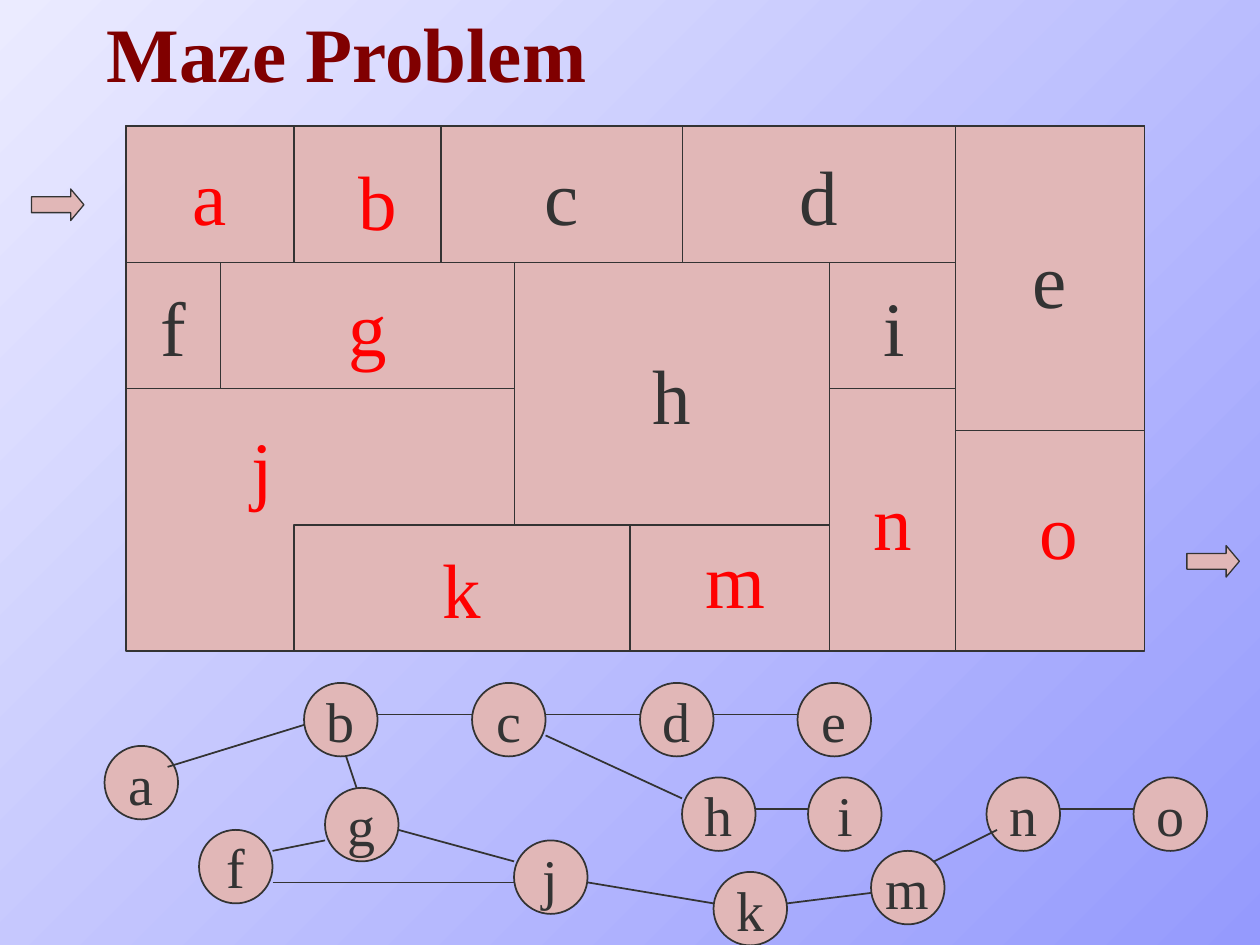
from lxml import etree
from pptx import Presentation
from pptx.dml.color import RGBColor
from pptx.enum.shapes import MSO_CONNECTOR, MSO_SHAPE
from pptx.enum.text import MSO_ANCHOR, MSO_AUTO_SIZE, PP_ALIGN
from pptx.oxml.ns import qn
from pptx.util import Inches, Pt

RECTANGLE, OVAL, ARROW = MSO_SHAPE.RECTANGLE, MSO_SHAPE.OVAL, MSO_SHAPE.RIGHT_ARROW
STRAIGHT = MSO_CONNECTOR.STRAIGHT
MIDDLE, BOTTOM = MSO_ANCHOR.MIDDLE, MSO_ANCHOR.BOTTOM
CENTER = PP_ALIGN.CENTER
FIT_SHAPE = MSO_AUTO_SIZE.SHAPE_TO_FIT_TEXT

PINK = RGBColor(0xE1, 0xB7, 0xB7)
INK = RGBColor(0x33, 0x33, 0x33)
RED = RGBColor(0xFF, 0x00, 0x00)
MAROON = RGBColor(0x80, 0x00, 0x00)
PALE_BLUE = RGBColor(0xEB, 0xEB, 0xFF)
BLUE = RGBColor(0x95, 0x9A, 0xFD)

STEP = Inches(1) / 12  # the maze and the graph share a grid of 12 steps per inch
NODE_SIZE = 7
MAZE_SIZE = (97, 50)
ROUTE = "abgjkmno"  # rooms on the way out

# Room: left, top, width, height in steps
ROOMS = {
    "a": (0, 0, 16, 13), "f": (0, 13, 9, 12), "g": (9, 13, 28, 12),
    "c": (30, 0, 23, 13), "h": (37, 13, 30, 25), "d": (53, 0, 26, 13),
    "e": (79, 0, 18, 29), "n": (67, 25, 12, 25), "k": (16, 38, 32, 12),
}
# Rooms left open between the others carry only a label
OPEN_ROOMS = {
    "b": (21, 2, 6.1, 10), "i": (71, 14, 4.4, 10), "j": (10.8, 27.4, 4.4, 10),
    "m": (54, 38, 8.2, 10), "o": (85.8, 33.4, 6.1, 10),
}
NODES = {
    "a": (0, 6), "b": (19, 0), "c": (35, 0), "d": (51, 0), "e": (66, 0),
    "f": (9, 14), "g": (21, 10), "j": (39, 15), "h": (55, 9), "k": (58, 18),
    "m": (73, 16), "n": (84, 9), "o": (98, 9), "i": (67, 9),
}
# Link: from x, from y, to x, to y in steps
LINKS = [
    (6, 8, 19, 4), (26, 3, 35, 3), (42, 3, 51, 3), (58, 3, 66, 3),
    (23, 7, 24, 10), (16, 16, 21, 15), (28, 14, 39, 17), (16, 19, 39, 19),
    (42, 5, 55, 11), (46, 19, 58, 21), (65, 21, 73, 20), (79, 17, 85, 14),
    (91, 12, 98, 12), (62, 12, 67, 12),
]


def steps(*counts):
    return [round(count * STEP) for count in counts]


def place(left, top, x, y, width, height):
    """Turn a box in steps into slide lengths, measured from left and top."""
    x, y, width, height = steps(x, y, width, height)
    return left + x, top + y, width, height


def write(shape, text, size, color, bold=False, align=None, **frame_format):
    frame = shape.text_frame
    frame.word_wrap = False
    for name, value in frame_format.items():
        setattr(frame, name, value)
    para = frame.paragraphs[0]
    para.alignment = align
    span = para.add_run()
    span.text = text
    font = {"name": "Times New Roman", "size": Pt(size), "bold": bold}
    for name, value in font.items():
        setattr(span.font, name, value)
    span.font.color.rgb = color


def add_pink_shape(shapes, kind, box, line_width=0.75):
    shape = shapes.add_shape(kind, *box)
    shape.shadow.inherit = False
    shape.fill.solid()
    shape.fill.fore_color.rgb = PINK
    shape.line.color.rgb = INK
    shape.line.width = Pt(line_width)
    return shape


def add_background(page):
    fill = page.background.fill
    fill.gradient()
    fill.gradient_angle = 315
    for stop, color in zip(fill.gradient_stops, (PALE_BLUE, BLUE)):
        stop.color.rgb = color


def add_title(page, left, top, width, height):
    title = page.shapes.add_textbox(left, top, width, height)
    write(title, "Maze Problem", 44, MAROON, bold=True,
          vertical_anchor=BOTTOM, word_wrap=True)


def add_maze(page, left, top):
    add_pink_shape(page.shapes, RECTANGLE, place(left, top, 0, 0, *MAZE_SIZE))
    for name, box in ROOMS.items():
        room = add_pink_shape(page.shapes, RECTANGLE, place(left, top, *box))
        write(room, name, 44, RED if name in ROUTE else INK,
              align=CENTER, vertical_anchor=MIDDLE)
    for name, box in OPEN_ROOMS.items():
        label = page.shapes.add_textbox(*place(left, top, *box))
        write(label, name, 44, RED if name in ROUTE else INK,
              auto_size=FIT_SHAPE)


def add_gate_arrow(page, left, top):
    arrow = add_pink_shape(page.shapes, ARROW, place(left, top, 0, 0, 5, 3))
    arrow.adjustments[1] = 0.42


def add_graph(page, left, top):
    shapes = page.shapes.add_group_shape().shapes
    for name, (x, y) in NODES.items():
        box = place(left, top, x, y, NODE_SIZE, NODE_SIZE)
        node = add_pink_shape(shapes, OVAL, box, line_width=1)
        write(node, name, 32, INK, align=CENTER, vertical_anchor=MIDDLE)
    for link in LINKS:
        x1, y1, x2, y2 = steps(*link)
        line = shapes.add_connector(STRAIGHT, left + x1, top + y1,
                                    left + x2, top + y2)
        line.line.color.rgb = INK
        line.line.width = Pt(1)
        etree.SubElement(line._element.spPr, qn("a:effectLst"))


def main():
    deck = Presentation()
    deck.slide_width, deck.slide_height = Inches(10), Inches(7.5)
    page = deck.slides.add_slide(deck.slide_layouts[6])
    add_background(page)
    add_title(page, Inches(0.75), Inches(0), Inches(8.5), Inches(0.83))
    add_maze(page, Inches(1), Inches(1))
    add_gate_arrow(page, Inches(0.25), Inches(1.5))
    add_gate_arrow(page, Inches(9.42), Inches(4.33))
    add_graph(page, Inches(0.83), Inches(5.42))
    deck.save("out.pptx")


if __name__ == "__main__":
    main()
